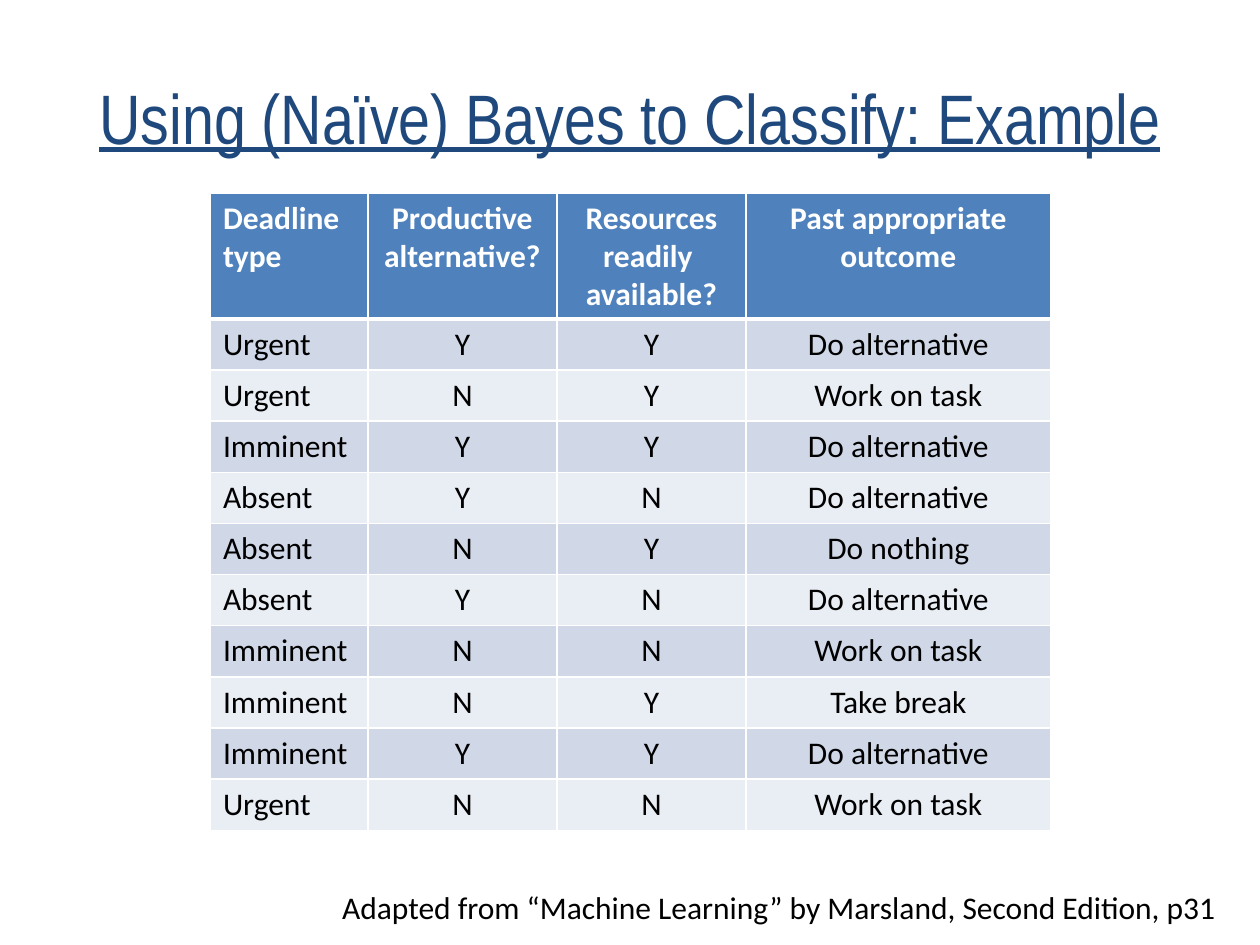
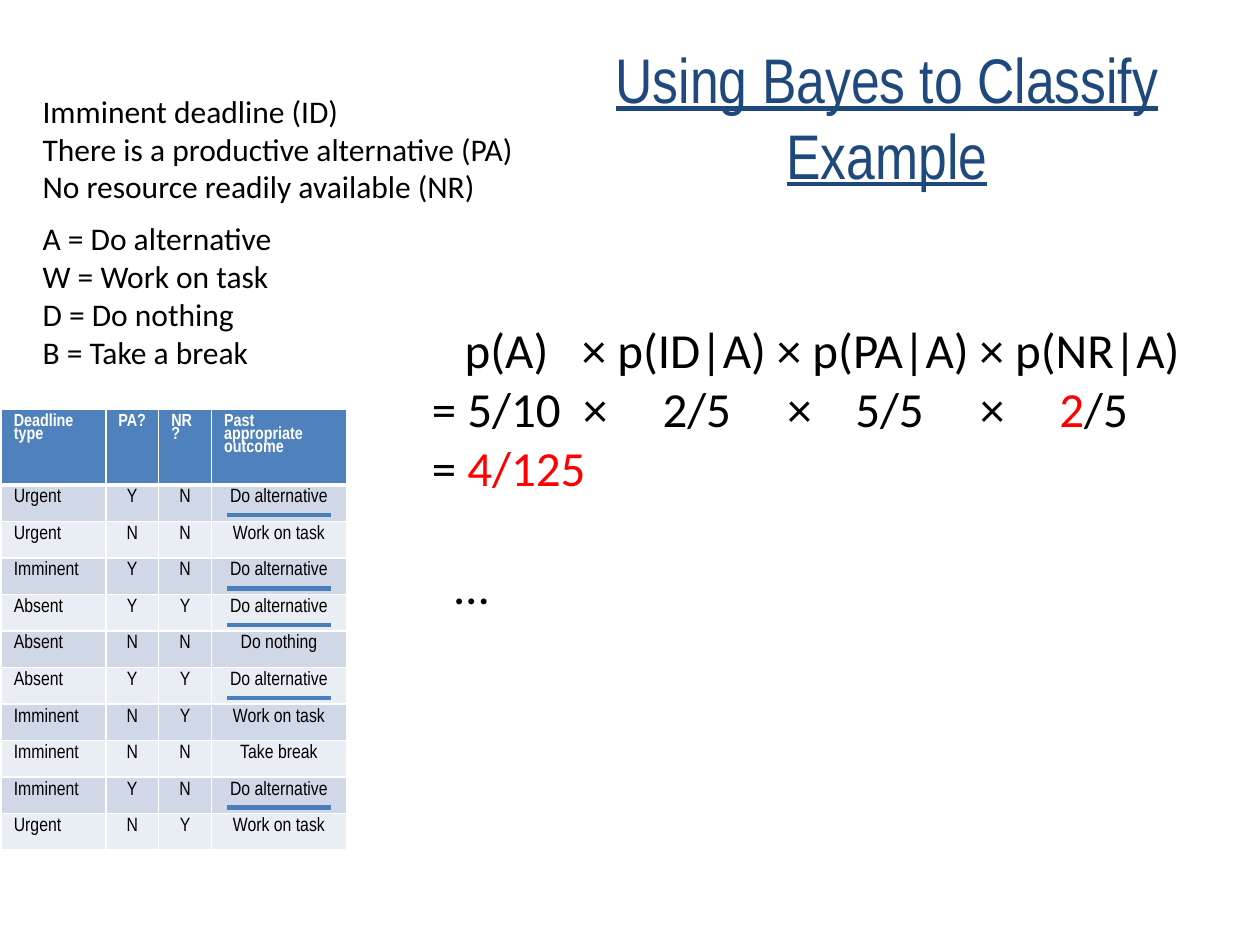
from collections import namedtuple

from lxml.etree import SubElement
from pptx import Presentation
from pptx.dml.color import RGBColor
from pptx.enum.shapes import MSO_CONNECTOR as Connector
from pptx.enum.text import MSO_ANCHOR as Anchor, PP_ALIGN as Align
from pptx.oxml.ns import qn
from pptx.util import Inches, Pt

COLORS = {
    "title": "1F497D",
    "text": "000000",
    "answer": "FF0000",
    "white": "FFFFFF",
    "header": "4F81BD",
    "odd": "D0D8E8",
    "even": "E9EDF4",
    "underline": "4B7EBC",
}
NARROW, BODY = "Arial Narrow", "Calibri"
GRID_COLUMNS, GRID_ROWS = 100, 75
WIDTH, HEIGHT = Inches(10), Inches(7.5)

Box = namedtuple("Box", "left top width height")
TableStyle = namedtuple("TableStyle", "font header_size body_size spacing header_align")

WIDE_STYLE = TableStyle(BODY, 18, 18, 1.0, Align.CENTER)
SMALL_STYLE = TableStyle(NARROW, 10, 11, 0.8, Align.LEFT)

WIDE_HEADERS = ["Deadline\ntype", "Productive alternative?",
                "Resources\nreadily \navailable?", "Past appropriate outcome"]
SMALL_HEADERS = ["Deadline\ntype", "PA?", "NR?", "Past appropriate outcome"]
CHOICE = "Do alternative"
CASES = [
    ("Urgent", "Y", "Y", CHOICE),
    ("Urgent", "N", "Y", "Work on task"),
    ("Imminent", "Y", "Y", CHOICE),
    ("Absent", "Y", "N", CHOICE),
    ("Absent", "N", "Y", "Do nothing"),
    ("Absent", "Y", "N", CHOICE),
    ("Imminent", "N", "N", "Work on task"),
    ("Imminent", "N", "Y", "Take break"),
    ("Imminent", "Y", "Y", CHOICE),
    ("Urgent", "N", "N", "Work on task"),
]
OPPOSITE = {"Y": "N", "N": "Y"}


def color(name):
    return RGBColor.from_string(COLORS[name])


def across(columns):
    return round(WIDTH * columns / GRID_COLUMNS)


def down(rows):
    return round(HEIGHT * rows / GRID_ROWS)


def place(box):
    return across(box.left), down(box.top), across(box.width), down(box.height)


def set_font(para, name, size, tint="text", **traits):
    font = para.font
    font.name, font.size, font.color.rgb = name, Pt(size), color(tint)
    for trait, value in traits.items():
        setattr(font, trait, value)


def add_text(page, box):
    frame = page.shapes.add_textbox(*place(box)).text_frame
    frame.word_wrap = True
    return frame


def add_paragraphs(frame, lines):
    for number, line in enumerate(lines):
        para = frame.add_paragraph() if number else frame.paragraphs[0]
        para.add_run().text = line
        yield para


def add_title(page, box, title, size):
    frame = add_text(page, box)
    frame.vertical_anchor = Anchor.MIDDLE
    for para in add_paragraphs(frame, [title]):
        para.alignment = Align.CENTER
        set_font(para, NARROW, size, "title", underline=True)


def add_notes_text(page, box, lines, align=Align.LEFT):
    for para in add_paragraphs(add_text(page, box), lines):
        para.alignment = align
        set_font(para, BODY, 18)


def add_borders(cell, bottom):
    properties = cell._tc.get_or_add_tcPr()
    for side, points in (("L", 1), ("R", 1), ("T", 1), ("B", bottom)):
        line = SubElement(properties, qn(f"a:ln{side}"), w=str(Pt(points)))
        fill = SubElement(line, qn("a:solidFill"))
        SubElement(fill, qn("a:srgbClr"), val=COLORS["white"])


def add_case_table(page, box, headers, cases, shares, header_height, style):
    table = page.shapes.add_table(len(cases) + 1, len(headers), *place(box)).table
    row_height = (box.height - header_height) / len(cases)
    for column, share in zip(table.columns, shares):
        column.width = across(box.width * share / sum(shares))
    for r, values in enumerate([headers, *cases]):
        header = r == 0
        table.rows[r].height = down(header_height if header else row_height)
        band = "header" if header else "odd" if r % 2 else "even"
        for c, value in enumerate(values):
            cell = table.cell(r, c)
            add_borders(cell, 3 if header else 1)
            cell.fill.solid()
            cell.fill.fore_color.rgb = color(band)
            for para in add_paragraphs(cell.text_frame, value.split("\n")):
                align = style.header_align if header else Align.CENTER
                para.alignment = align if c else Align.LEFT
                para.line_spacing = style.spacing
                set_font(para, style.font,
                         style.header_size if header else style.body_size,
                         "white" if header else "text", bold=header)


def underline_choices(page, box, cases, shares, header_height):
    row_height = (box.height - header_height) / len(cases)
    outcome_left = box.left + box.width * sum(shares[:-1]) / sum(shares)
    start, end = across(outcome_left + 1.2), across(outcome_left + 9.5)
    for number, case in enumerate(cases, 1):
        if case[-1] == CHOICE:
            y = down(box.top + header_height + number * row_height - 0.5)
            line = page.shapes.add_connector(Connector.STRAIGHT, start, y, end, y)
            line.line.color.rgb = color("underline")
            line.line.width = Pt(2.5)
            SubElement(line._element.spPr, qn("a:effectLst"))


def add_tabs(para, stops):
    tabs = SubElement(para._p.get_or_add_pPr(), qn("a:tabLst"))
    for stop in stops:
        SubElement(tabs, qn("a:tab"), pos=str(across(stop)), algn="l")


def add_calculation(page, box):
    lines = [
        ([("\tp(A)\t× p(ID|A) × p(PA|A) × p(NR|A)", "text")], [2.6, 11.9]),
        ([("= 5/10\t×\t2/5\t×\t5/5\t×\t", "text"), ("2", "answer"), ("/5", "text")],
         [12, 18.3, 28.2, 33.6, 43.5, 49.8]),
        ([("= ", "text"), ("4/125", "answer")], []),
        ([("\t…", "text")], [1.8]),
    ]
    frame = add_text(page, box)
    for number, (spans, stops) in enumerate(lines):
        para = frame.add_paragraph() if number else frame.paragraphs[0]
        if stops:
            add_tabs(para, stops)
        set_font(para, BODY, 28)
        for words, tint in spans:
            span = para.add_run()
            span.text = words
            if tint != "text":
                span.font.color.rgb = color(tint)
    para.space_before = Pt(34)


def build_data_slide(page):
    add_title(page, Box(5, 3, 90, 12.5), "Using (Naïve) Bayes to Classify: Example", 40)
    add_notes_text(page, Box(23.3, 70, 74.2, 4),
                   ["Adapted from “Machine Learning” by Marsland, Second Edition, p31"],
                   Align.RIGHT)
    add_case_table(page, Box(16.7, 15.3, 66.7, 50.6), WIDE_HEADERS, CASES,
                   (1.25, 1.5, 1.5, 2.42), 10, WIDE_STYLE)


def build_calculation_slide(page):
    add_title(page, Box(45.8, 3, 49.2, 12.5), "Using Bayes to Classify Example", 36)
    add_calculation(page, Box(33.3, 24.9, 63.5, 24.6))
    cases = [(deadline, productive, OPPOSITE[ready], outcome)
             for deadline, productive, ready, outcome in CASES]
    box, shares, header_height = Box(0.1, 32.5, 27.4, 35), (0.83, 0.42, 0.42, 1.07), 6
    add_case_table(page, box, SMALL_HEADERS, cases, shares, header_height, SMALL_STYLE)
    add_notes_text(page, Box(2.4, 6.8, 50, 10.1),
                   ["Imminent deadline (ID)",
                    "There is a productive alternative (PA)",
                    "No resource readily available (NR)"])
    add_notes_text(page, Box(2.4, 16.9, 20.6, 13.1),
                   ["A = Do alternative", "W = Work on task",
                    "D = Do nothing", "B = Take a break"])
    underline_choices(page, box, cases, shares, header_height)


def main():
    deck = Presentation()
    deck.slide_width, deck.slide_height = WIDTH, HEIGHT
    blank = deck.slide_layouts[6]
    for build in (build_data_slide, build_calculation_slide):
        build(deck.slides.add_slide(blank))
    deck.save("out.pptx")


if __name__ == "__main__":
    main()
